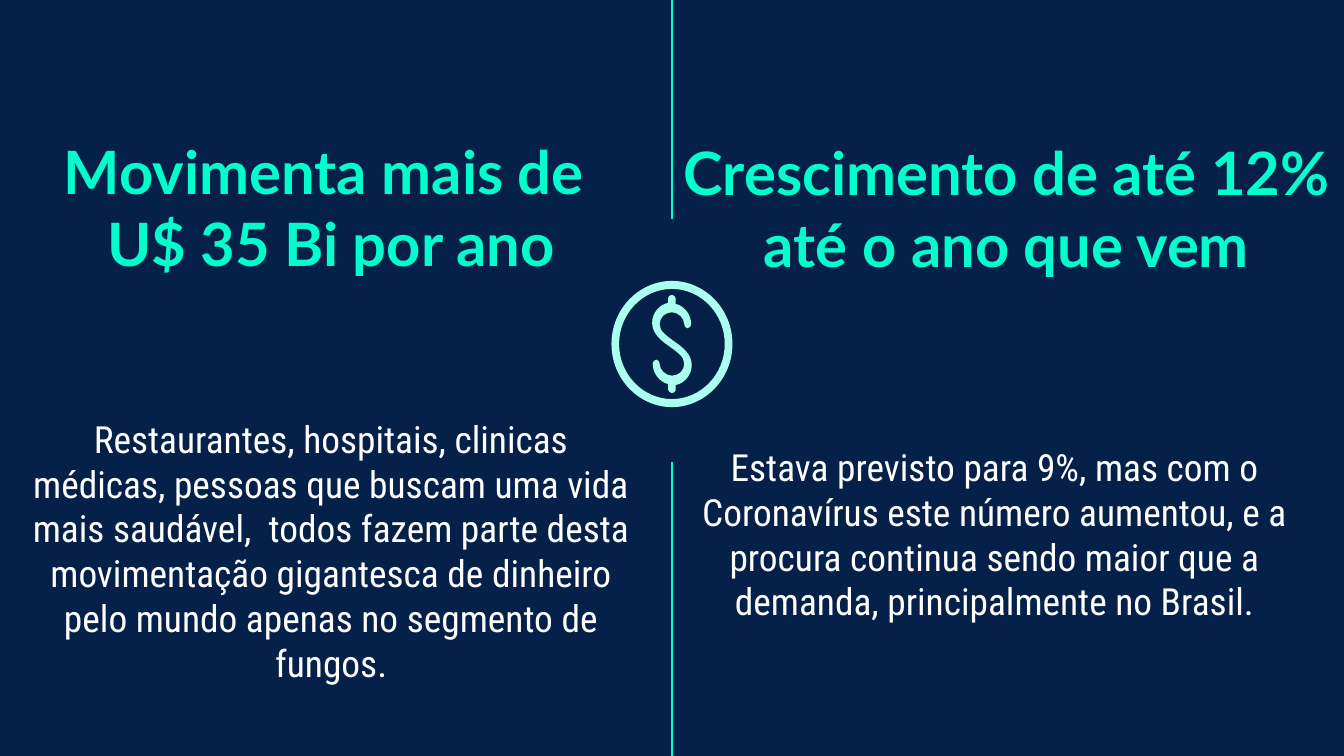
from lxml import etree
from pptx import Presentation
from pptx.dml.color import RGBColor
from pptx.enum import shapes, text
from pptx.oxml.ns import qn
from pptx.util import Pt

NAVY, MINT, PALE_MINT, WHITE = "05214A", "00FFCD", "AAFFEE", "FFFFFF"
WIDTH, HEIGHT = 720, 405
CENTER_X, CENTER_Y = WIDTH / 2, 184.3

# Upper-left half of the dollar sign, as offsets from the coin's center.
# Two numbers make a straight line, six make a Bézier curve.
DOLLAR_START = (0, -26.3)
DOLLAR_HALF = [
    (-0.9, -26.3, -2, -25.6, -2, -24.8),
    (-2, -22),
    (-6.5, -21.2, -10.6, -16.8, -10.6, -11.3),
    (-10.6, -5.5, -5.8, -1.8, -1.5, 1.2),
    (2.9, 4.5, 6.6, 6.7, 6.6, 10.6),
    (6.6, 14.1, 3.7, 17, 0, 17),
    (-3.1, 17, -6.6, 14.1, -6.6, 10.6),
    (-6.6, 9.6, -7.3, 8.4, -8.3, 8.4),
    (-9.5, 8.4, -10.3, 9.6, -10.3, 10.6),
    (-10.3, 15.8, -6.6, 20.4, -2, 21.5),
    (-2, 24.5),
    (-2, 25.2, -1, 26.3, 0, 26.3),
]


def color(value):
    return RGBColor.from_string(value)


def place(shape, left, top, width, height):
    shape.left, shape.top = Pt(left), Pt(top)
    shape.width, shape.height = Pt(width), Pt(height)


def write(shape, words, font_name, size, font_color, bold, anchor):
    frame = shape.text_frame
    frame.word_wrap = True
    frame.auto_size = text.MSO_AUTO_SIZE.NONE
    frame.vertical_anchor = anchor
    frame.margin_left = frame.margin_right = Pt(7.2)
    frame.margin_top = frame.margin_bottom = Pt(7.2)
    frame.text = words
    paragraph = frame.paragraphs[0]
    paragraph.alignment = text.PP_ALIGN.CENTER
    paragraph.space_before = Pt(0)
    paragraph.font.name = font_name
    paragraph.font.size = Pt(size)
    paragraph.font.bold = bold
    paragraph.font.color.rgb = color(font_color)


def write_heading(shape, words):
    write(shape, words, "Lato", 32, MINT, True, text.MSO_ANCHOR.BOTTOM)


def write_body(shape, words):
    write(shape, words, "Roboto Condensed", 20, WHITE, False, text.MSO_ANCHOR.TOP)


def add_text_box(slide, left, top, width, height):
    return slide.shapes.add_textbox(Pt(left), Pt(top), Pt(width), Pt(height))


def add_divider(slide, start, end):
    line = slide.shapes.add_connector(
        shapes.MSO_CONNECTOR.STRAIGHT,
        Pt(CENTER_X), Pt(start), Pt(CENTER_X), Pt(end))
    line.line.color.rgb = color(MINT)
    line.line.width = Pt(0.75)
    etree.SubElement(line._element.spPr, qn("a:effectLst"))


def add_outline(group, contours):
    """Draw contours, each a start point and its line and curve segments."""
    def at(x, y):
        return Pt(CENTER_X + x), Pt(CENTER_Y + y)

    builder = None
    for start, segments in contours:
        if builder is None:
            builder = group.shapes.build_freeform(*at(*start))
        else:
            builder.move_to(*at(*start))
        vertices = [at(*segment[i:i + 2])
                    for segment in segments for i in range(0, len(segment), 2)]
        builder.add_line_segments(vertices, close=True)
    shape = builder.convert_to_shape()

    # Join the three points of each curve into one Bézier element
    lines = iter(list(shape._element.iter(qn("a:lnTo"))))
    for _, segments in contours:
        for segment in segments:
            first = next(lines)
            if len(segment) == 6:
                first.tag = qn("a:cubicBezTo")
                for _ in range(2):
                    line = next(lines)
                    first.append(line[0])
                    line.getparent().remove(line)

    shape.shadow.inherit = False
    shape.fill.solid()
    shape.fill.fore_color.rgb = color(PALE_MINT)
    shape.line.fill.background()


def ellipse(radius_x, radius_y):
    """Four Bézier arcs, from the top and clockwise."""
    x, y = radius_x, radius_y
    near_x, near_y = 0.55 * x, 0.55 * y
    return (0, -y), [
        (near_x, -y, x, -near_y, x, 0),
        (x, near_y, near_x, y, 0, y),
        (-near_x, y, -x, near_y, -x, 0),
        (-x, -near_y, -near_x, -y, 0, -y),
    ]


def add_coin(slide):
    coin = slide.shapes.add_group_shape()
    # Dollar sign: the second half is the first turned by 180 degrees
    turned = [tuple(-value for value in segment) for segment in DOLLAR_HALF]
    add_outline(coin, [(DOLLAR_START, DOLLAR_HALF + turned)])
    # Ring
    add_outline(coin, [ellipse(28.3, 29.5), ellipse(32.4, 33.8)])


def main():
    presentation = Presentation()
    presentation.slide_width, presentation.slide_height = Pt(WIDTH), Pt(HEIGHT)
    slide = presentation.slides.add_slide(presentation.slide_layouts[0])
    slide.background.fill.solid()
    slide.background.fill.fore_color.rgb = color(NAVY)

    # Left half: market size
    title, subtitle = slide.placeholders
    place(title, -4.3, 60.5, 363.6, 95.8)
    write_heading(title, "Movimenta mais de \vU$ 35 Bi por ano")
    place(subtitle, 8.2, 215.6, 338.4, 160.6)
    write_body(subtitle, "Restaurantes, hospitais, clinicas médicas, pessoas que "
               "buscam uma vida mais saudável,  todos fazem parte desta "
               "movimentação gigantesca de dinheiro pelo mundo apenas no "
               "segmento de fungos.")

    # Dividers above and below the coin
    add_divider(slide, 117.4, 0)
    add_divider(slide, 247.7, 410.4)

    # Right half: growth
    write_heading(add_text_box(slide, 358.6, 61.2, 361.4, 95.8),
                  "Crescimento de até 12% até o ano que vem")
    write_body(add_text_box(slide, 358.6, 230.8, 348.5, 108),
               "Estava previsto para 9%, mas com o Coronavírus este número "
               "aumentou, e a procura continua sendo maior que a demanda, "
               "principalmente no Brasil.")

    add_coin(slide)
    presentation.save("out.pptx")


if __name__ == "__main__":
    main()
